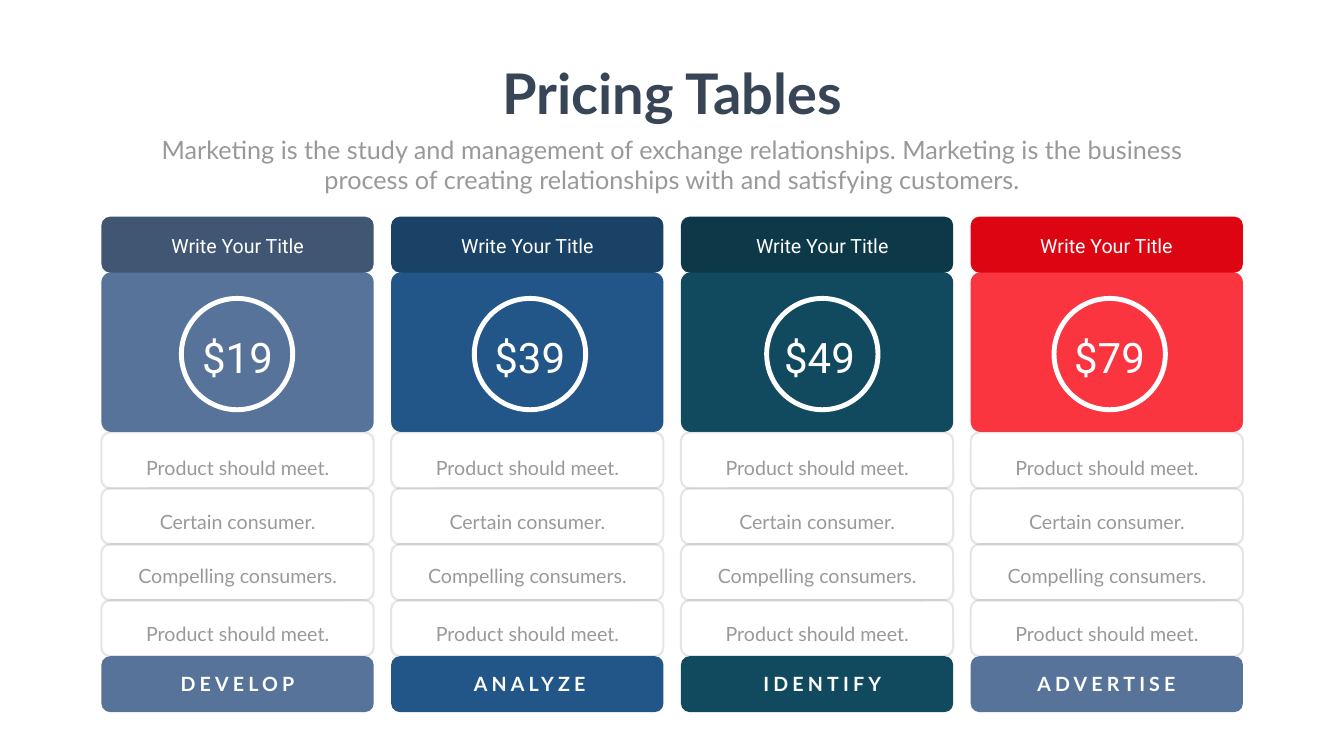
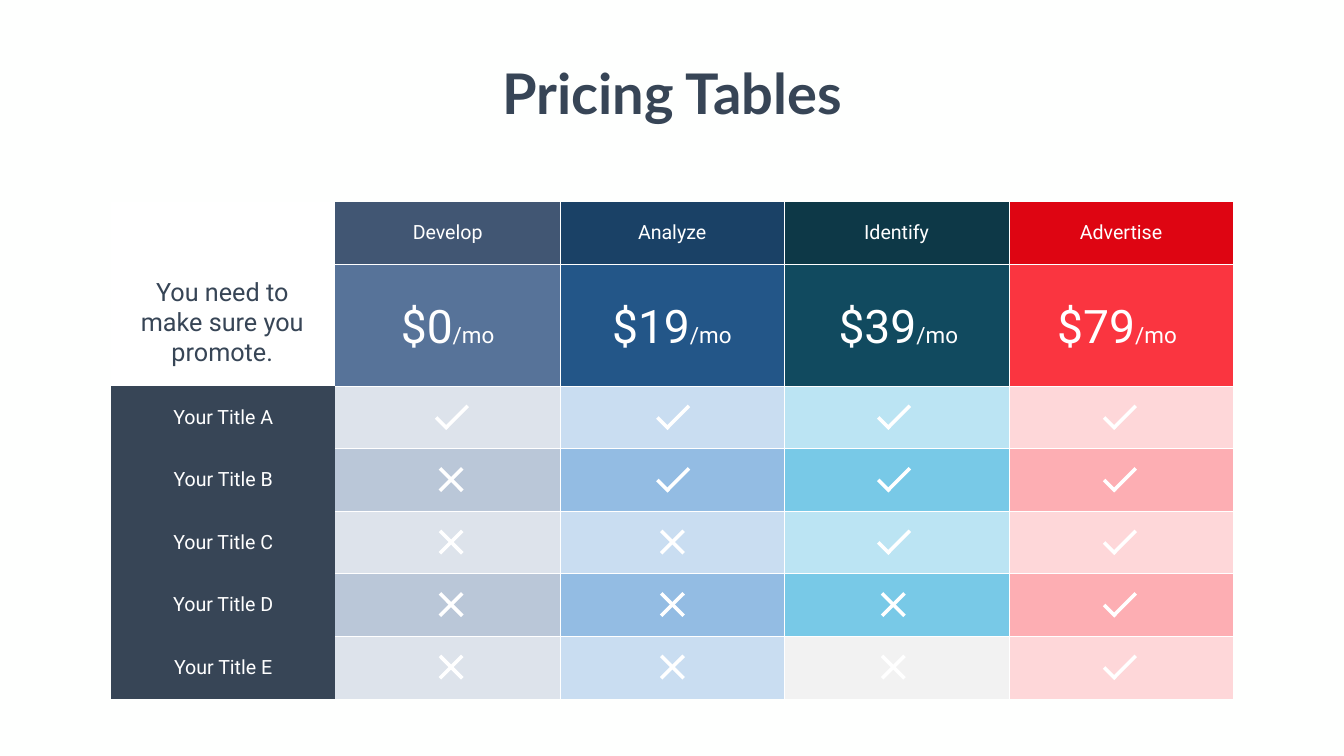
"""Build two pricing slides: plan cards and a feature comparison table."""
from lxml import etree
from pptx import Presentation
from pptx.dml.color import RGBColor
from pptx.enum import shapes, text
from pptx.oxml import ns
from pptx.util import Cm, Pt

WHITE = RGBColor(0xFF, 0xFF, 0xFF)
PAPER = RGBColor(0xFE, 0xFF, 0xFE)
INK = RGBColor(0x37, 0x45, 0x56)
GREY = RGBColor(0x99, 0x99, 0x99)
OUTLINE = RGBColor(0x80, 0x80, 0x80)
PALE = RGBColor(0xF2, 0xF2, 0xF2)
SLATE = RGBColor(0x57, 0x73, 0x99)
BODY_COLORS = [SLATE, RGBColor(0x23, 0x56, 0x88), RGBColor(0x11, 0x4A, 0x5F), RGBColor(0xFA, 0x35, 0x40)]
HEAD_COLORS = [RGBColor(0x41, 0x56, 0x73), RGBColor(0x1A, 0x41, 0x66),
               RGBColor(0x0D, 0x38, 0x47), RGBColor(0xDE, 0x05, 0x12)]
LIGHT_COLORS = [RGBColor(0xDD, 0xE3, 0xEB), RGBColor(0xC9, 0xDD, 0xF1),
                RGBColor(0xBB, 0xE4, 0xF3), RGBColor(0xFE, 0xD7, 0xD9)]
MID_COLORS = [RGBColor(0xBA, 0xC7, 0xD8), RGBColor(0x93, 0xBC, 0xE3),
              RGBColor(0x78, 0xC9, 0xE7), RGBColor(0xFD, 0xAE, 0xB3)]


def write(frame, words, size=28, font="Roboto", color=WHITE, bold=False, wrap=None,
          tracking=0, leading=None, before=0, suffix="", suffix_size=32):
    """Fill a text frame with centred paragraphs, one for each line of words."""
    if wrap is not None:
        frame.word_wrap = wrap
        frame.auto_size = text.MSO_AUTO_SIZE.SHAPE_TO_FIT_TEXT
    for index, line in enumerate(words.split("\n")):
        para = frame.add_paragraph() if index else frame.paragraphs[0]
        para.alignment = text.PP_ALIGN.CENTER
        if leading:
            para.line_spacing = leading
        if index:
            para.space_before = Pt(before)
        for part, points in ((line, size), (suffix, suffix_size)):
            if not part:
                continue
            span = para.add_run()
            span.text = part
            span.font.size = Pt(points)
            span.font.name = font
            span.font.bold = bold
            span.font.color.rgb = color
            if tracking:
                span.font._element.set("spc", str(tracking * 100))


def draw(parent, kind, place, fill=None, line=None, weight=0, corner=None):
    """Add a flat preset shape, its place given in centimetres."""
    shape = parent.shapes.add_shape(kind, *map(Cm, place))
    shape.shadow.inherit = False
    if corner:
        shape.adjustments[0] = corner
    if fill:
        shape.fill.solid()
        shape.fill.fore_color.rgb = fill
    else:
        shape.fill.background()
    if line:
        shape.line.color.rgb = line
        shape.line.width = Pt(weight)
    else:
        shape.line.fill.background()
    return shape


deck = Presentation()
deck.slide_width, deck.slide_height = Cm(67.72), Cm(38.1)
pages = [deck.slides.add_slide(deck.slide_layouts[6]) for _ in range(2)]
for page in pages:
    page.background.fill.solid()
    page.background.fill.fore_color.rgb = PAPER
    box = page.shapes.add_textbox(Cm(24.69), Cm(2.84), Cm(18.36), Cm(3.68))
    write(box.text_frame, "Pricing Tables", 80, "Lato", INK, bold=True, wrap=False)

cards, comparison = pages
box = cards.shapes.add_textbox(Cm(7.42), Cm(6.63), Cm(52.88), Cm(3.33))
write(box.text_frame, "Marketing is the study and management of exchange relationships. Marketing is the "
      "business process of creating relationships with and satisfying customers.",
      36, "Lato", GREY, wrap=True)

CARD_LEFT, CARD_STEP, CARD_WIDTH = 5.11, 14.6, 13.72
BAND_HEIGHT, ROWS_TOP = 2.82, 21.79
FEATURES = "Product should meet. Certain consumer. Compelling consumers.\nProduct should meet."
plans = [
    ("$19", 7.7, 9.14, 8.26, "DEVELOP", 8.69, 6.55, SLATE),
    ("$39", 22.43, 23.9, 22.86, "ANALYZE", 23.44, 6.5, BODY_COLORS[1]),
    ("$49", 37.03, 38.63, 37.72, "IDENTIFY", 38.07, 6.73, BODY_COLORS[2]),
    ("$79", 51.64, 53.11, 52.04, "ADVERTISE", 51.84, 7.82, SLATE),
]
for column, plan in enumerate(plans):
    price, price_left, ring_left, title_left, action, action_left, action_width, action_color = plan
    left = CARD_LEFT + column * CARD_STEP
    rounded = shapes.MSO_SHAPE.ROUNDED_RECTANGLE

    draw(cards, rounded, (left, 13.72, CARD_WIDTH, 8.05), BODY_COLORS[column], corner=0.063)
    draw(cards, shapes.MSO_SHAPE.OVAL, (ring_left, 15.04, 5.61, 5.61), line=WHITE, weight=7)
    box = cards.shapes.add_textbox(Cm(price_left), Cm(16.59), Cm(8.53), Cm(2.82))
    write(box.text_frame, price, 60, wrap=True)

    for row in range(4):
        place = (left, ROWS_TOP + row * BAND_HEIGHT, CARD_WIDTH, BAND_HEIGHT)
        frame_box = draw(cards, rounded, place, line=OUTLINE, weight=3, corner=0.155)
        tint = frame_box.line._ln.find(".//" + ns.qn("a:srgbClr"))
        etree.SubElement(tint, ns.qn("a:alpha")).set("val", "20000")
    box = cards.shapes.add_textbox(Cm(left + 0.97), Cm(21.16), Cm(11.79), Cm(11.33))
    box.text_frame.margin_left = box.text_frame.margin_right = Cm(0.61)
    box.text_frame.margin_top = box.text_frame.margin_bottom = Cm(0.3)
    write(box.text_frame, FEATURES, font="Lato", color=GREY, wrap=True, leading=2.29, before=5.6)

    action_top = ROWS_TOP + 4 * BAND_HEIGHT
    draw(cards, rounded, (left, action_top, CARD_WIDTH, BAND_HEIGHT), action_color, corner=0.155)
    box = cards.shapes.add_textbox(Cm(action_left), Cm(33.76), Cm(action_width), Cm(1.45))
    write(box.text_frame, action, font="Lato", bold=True, wrap=False, tracking=6)

    draw(cards, rounded, (left, 10.92, CARD_WIDTH, BAND_HEIGHT), HEAD_COLORS[column], corner=0.155)
    box = cards.shapes.add_textbox(Cm(title_left), Cm(11.66), Cm(7.42), Cm(1.45))
    write(box.text_frame, "Write Your Title", wrap=False)

names = ["Develop", "Analyze", "Identify", "Advertise"]
labels = ["Your Title " + letter for letter in "ABCDE"]
row_heights = [3.1, 6.17] + [3.15] * 5
fills = [HEAD_COLORS, BODY_COLORS, LIGHT_COLORS, MID_COLORS, LIGHT_COLORS, MID_COLORS,
         LIGHT_COLORS[:2] + [PALE] + LIGHT_COLORS[3:]]
grid = comparison.shapes.add_table(7, 5, Cm(5.59), Cm(10.19), Cm(56.55), Cm(25.02)).table
grid.first_row = grid.horz_banding = False
for table_column in grid.columns:
    table_column.width = Cm(11.31)
for row, height in enumerate(row_heights):
    grid.rows[row].height = Cm(height)
    for column in range(5):
        cell = grid.cell(row, column)
        cell.vertical_anchor = text.MSO_ANCHOR.MIDDLE
        ruled = {"L": column > 1, "R": 0 < column < 4,
                 "T": column > 0 and row > 0, "B": column > 0 and row < 6}
        for side, shown in ruled.items():
            edge = etree.SubElement(cell._tc.get_or_add_tcPr(), ns.qn("a:ln" + side), w="6350")
            if shown:
                paint = etree.SubElement(edge, ns.qn("a:solidFill"))
                etree.SubElement(paint, ns.qn("a:srgbClr"), val=str(WHITE))
            else:
                etree.SubElement(edge, ns.qn("a:noFill"))
        cell.fill.solid()
        if column:
            cell.fill.fore_color.rgb = fills[row][column - 1]
            if row == 0:
                write(cell.text_frame, names[column - 1])
        else:
            cell.fill.fore_color.rgb = INK if row > 1 else WHITE
            if row > 1:
                write(cell.text_frame, labels[row - 2])

monthly = [("$0", 17.35), ("$19", 28.65), ("$39", 40.06), ("$79", 51.08)]
for price, left in monthly:
    box = comparison.shapes.add_textbox(Cm(left), Cm(14.88), Cm(10.41), Cm(3.07))
    write(box.text_frame, price, 66, wrap=True, suffix="/mo")

STROKE, LONG, SHORT = 0.18, 1.6, 0.81
included_counts = [1, 2, 3, 5]
mark_lefts = [22.17, 33.32, 44.45, 55.83]
for left, included in zip(mark_lefts, included_counts):
    for row in range(5):
        top = 20.22 + row * 3.15
        if row < included:
            strokes = [(left, top + 0.7, SHORT, 315), (left + 0.74, top, LONG, 45)]
        else:
            strokes = [(left + 0.47, top, LONG, angle) for angle in (45, 135)]
        mark = comparison.shapes.add_group_shape()
        for stroke_left, stroke_top, length, angle in strokes:
            place = (stroke_left, stroke_top, STROKE, length)
            draw(mark, shapes.MSO_SHAPE.RECTANGLE, place, WHITE).rotation = angle

box = comparison.shapes.add_textbox(Cm(6.5), Cm(13.79), Cm(9.4), Cm(4.88))
write(box.text_frame, "You need to make sure you promote.", 36, color=INK, wrap=True)

deck.save("out.pptx")
